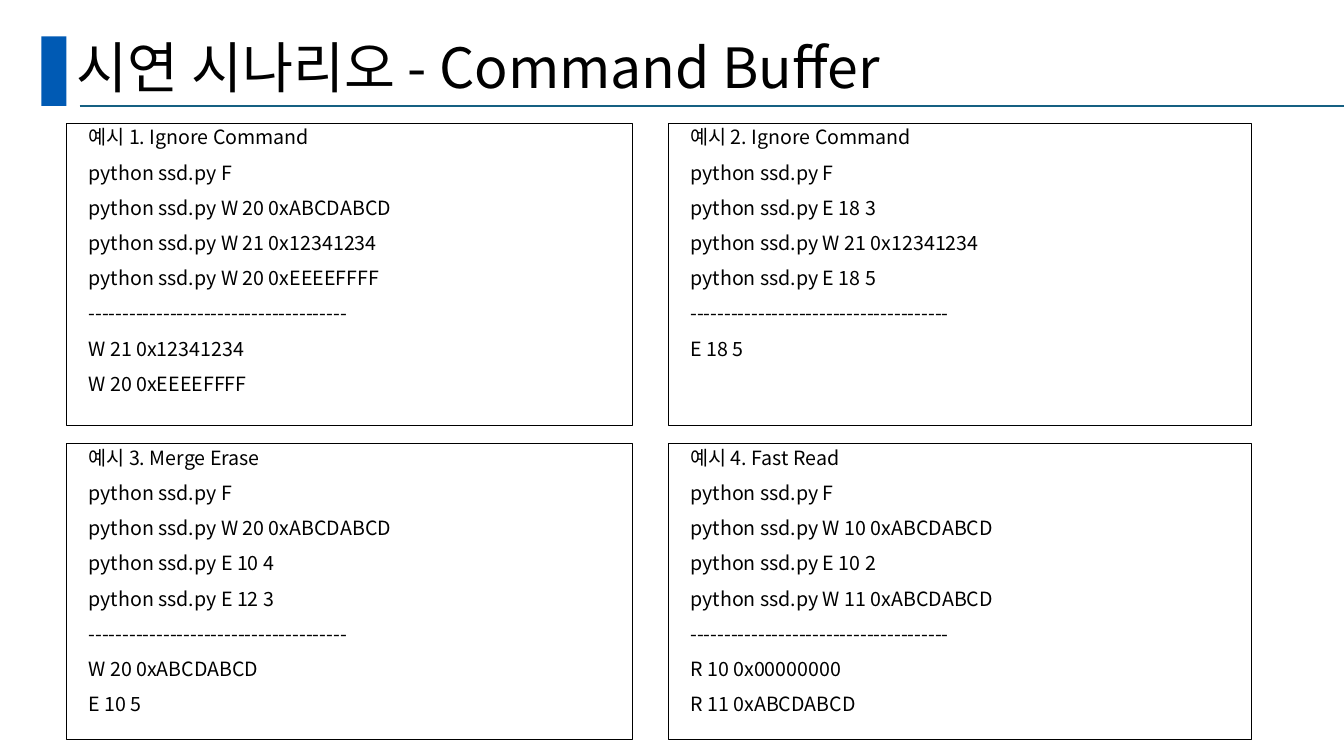
"""Build the Command Buffer demo scenario slide."""
import pptx
import pptx.dml.color
import pptx.enum.shapes
import pptx.enum.text
import pptx.oxml
import pptx.oxml.ns
import pptx.util

Pt = pptx.util.Pt
RGBColor = pptx.dml.color.RGBColor

TITLE = "시연 시나리오 - Command Buffer"
RUN = "python ssd.py "
DIVIDER = "-" * 38
EXAMPLES = [
    ("예시 1. Ignore Command",
     ["F", "W 20 0xABCDABCD", "W 21 0x12341234", "W 20 0xEEEEFFFF"],
     ["W 21 0x12341234", "W 20 0xEEEEFFFF"]),
    ("예시 2. Ignore Command",
     ["F", "E 18 3", "W 21 0x12341234", "E 18 5"],
     ["E 18 5"]),
    ("예시 3. Merge Erase",
     ["F", "W 20 0xABCDABCD", "E 10 4", "E 12 3"],
     ["W 20 0xABCDABCD", "E 10 5"]),
    ("예시 4. Fast Read",
     ["F", "W 10 0xABCDABCD", "E 10 2", "W 11 0xABCDABCD"],
     ["R 10 0x00000000", "R 11 0xABCDABCD"]),
]

BLACK = RGBColor(0x00, 0x00, 0x00)
ACCENT_BLUE = RGBColor(0x00, 0x5A, 0xB4)
RULE_TEAL = RGBColor(0x15, 0x60, 0x82)
FONT = "Noto Sans CJK KR"

SLIDE_WIDTH, SLIDE_HEIGHT = 960, 540
COLUMNS = [(47.5, 404), (477.4, 416.2)]
ROWS = [(87.9, 216), (316.8, 211.7)]
TEXT_INDENT = 8.64

FRAME_FORMAT = {
    "word_wrap": True,
    "auto_size": pptx.enum.text.MSO_AUTO_SIZE.NONE,
    "margin_left": Pt(7.2), "margin_right": Pt(7.2),
    "margin_top": Pt(3.6), "margin_bottom": Pt(3.6),
}
TITLE_FORMAT = {"alignment": pptx.enum.text.PP_ALIGN.LEFT, "line_spacing": 0.9,
                "space_before": Pt(0)}
BODY_FORMAT = {**TITLE_FORMAT, "space_before": Pt(10)}


def apply_format(target, values):
    for name, value in values.items():
        setattr(target, name, value)


def write_lines(shape, lines, size, paragraph_format, anchor, indent=0):
    frame = shape.text_frame
    apply_format(frame, {**FRAME_FORMAT, "vertical_anchor": anchor})
    frame.text = "\n".join(lines)
    for paragraph in frame.paragraphs:
        apply_format(paragraph, paragraph_format)
        properties = paragraph._p.get_or_add_pPr()
        properties.set("marL", str(Pt(indent)))
        properties.set("indent", "0")
        font = paragraph.runs[0].font
        apply_format(font, {"name": FONT, "size": Pt(size)})
        font.color.rgb = BLACK
        east_asian = pptx.oxml.parse_xml(
            f'<a:ea {pptx.oxml.ns.nsdecls("a")} typeface="{FONT}"/>')
        font._element.find(pptx.oxml.ns.qn("a:latin")).addnext(east_asian)


def add_header(slide):
    bar = slide.shapes.add_shape(pptx.enum.shapes.MSO_SHAPE.RECTANGLE,
                                 Pt(29.5), Pt(25.9), Pt(18), Pt(49.7))
    bar.shadow.inherit = False
    bar.fill.solid()
    bar.fill.fore_color.rgb = ACCENT_BLUE
    bar.line.fill.background()

    rule = slide.shapes.add_connector(pptx.enum.shapes.MSO_CONNECTOR.STRAIGHT,
                                      Pt(56.9), Pt(75.6), Pt(SLIDE_WIDTH), Pt(75.6))
    rule.line.color.rgb = RULE_TEAL
    rule.line.width = Pt(1.5)
    rule._element.spPr.append(
        pptx.oxml.parse_xml(f'<a:effectLst {pptx.oxml.ns.nsdecls("a")}/>'))

    title = slide.shapes.title
    apply_format(title, {"left": Pt(47.5), "top": Pt(24.5),
                         "width": Pt(828), "height": Pt(51.1)})
    write_lines(title, [TITLE], 39.6, TITLE_FORMAT, pptx.enum.text.MSO_ANCHOR.MIDDLE)


def add_examples(slide):
    for index, (heading, commands, results) in enumerate(EXAMPLES):
        left, width = COLUMNS[index % 2]
        top, height = ROWS[index // 2]
        box = slide.shapes.add_textbox(Pt(left), Pt(top), Pt(width), Pt(height))
        box.line.color.rgb = BLACK
        box.line.width = Pt(0.75)
        lines = [heading, *(RUN + command for command in commands), DIVIDER, *results]
        write_lines(box, lines, 14, BODY_FORMAT, pptx.enum.text.MSO_ANCHOR.TOP, TEXT_INDENT)


def main():
    presentation = pptx.Presentation()
    apply_format(presentation, {"slide_width": Pt(SLIDE_WIDTH),
                                "slide_height": Pt(SLIDE_HEIGHT)})
    slide = presentation.slides.add_slide(presentation.slide_layouts[5])
    add_header(slide)
    add_examples(slide)
    presentation.save("out.pptx")


if __name__ == "__main__":
    main()
